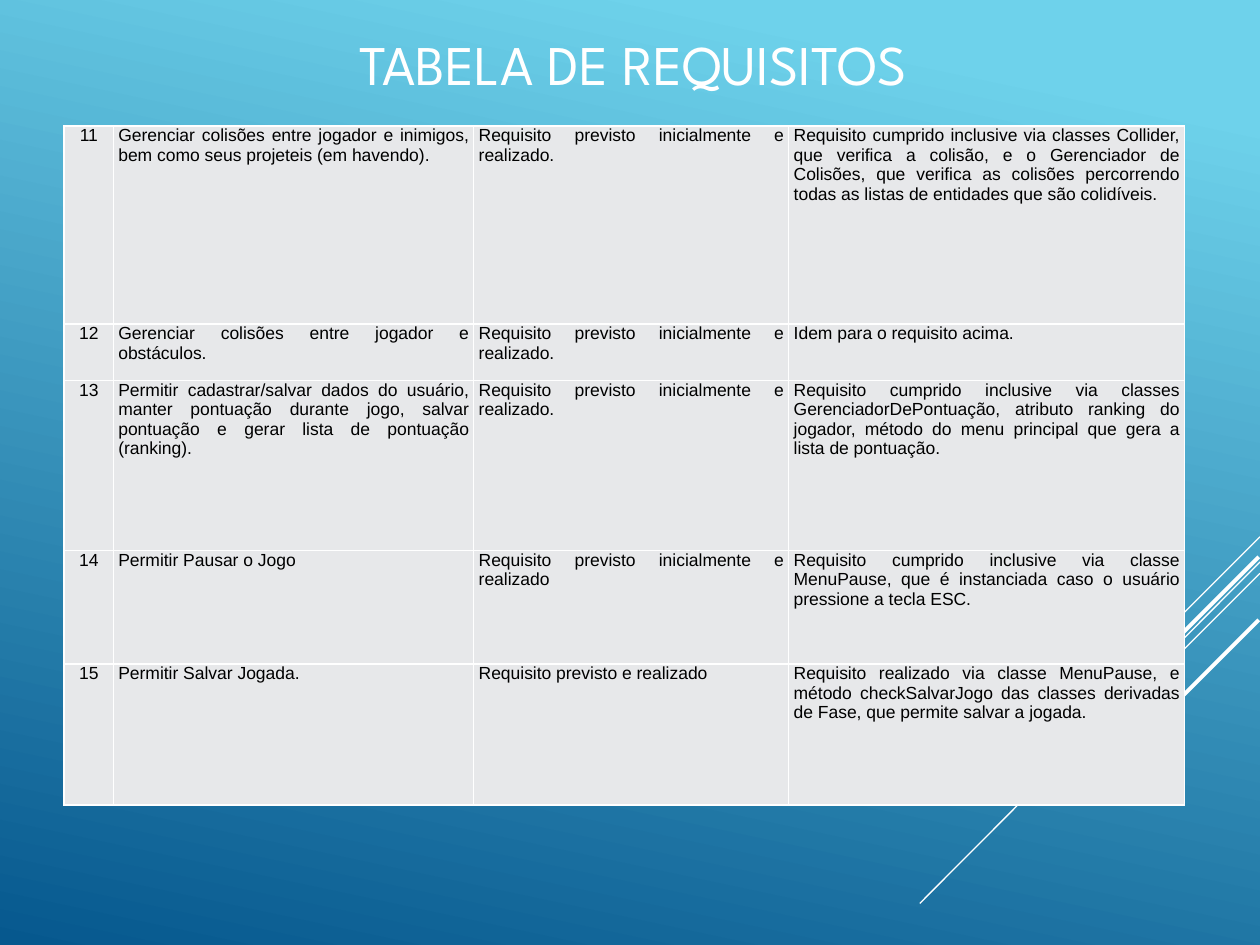
from typing import NamedTuple

from lxml import etree
from pptx import Presentation
from pptx import util as u
from pptx.dml.color import RGBColor
from pptx.enum import shapes, text
from pptx.oxml import ns

WHITE = RGBColor(0xFF, 0xFF, 0xFF)
BLACK = RGBColor(0x00, 0x00, 0x00)
CELL_GRAY = RGBColor(0xE7, 0xE8, 0xEA)
SKY_BLUE = RGBColor(0x6E, 0xD2, 0xEB)
DEEP_BLUE = RGBColor(0x06, 0x58, 0x8E)

COLUMN_WIDTHS = (0.39, 2.86, 2.5, 3.14)
PLANNED = "Requisito previsto inicialmente e realizado"


class Ray(NamedTuple):
    start: tuple[float, float]
    end: tuple[float, float]
    width: float


class Requirement(NamedTuple):
    number: str
    description: str
    status: str
    implementation: str
    height: float


RAYS = [
    Ray((10, 4.26), (9.17, 5.09), 0.75),
    Ray((10, 4.46), (7.3, 7.17), 0.75),
    Ray((10, 4.55), (8.28, 6.27), 0.75),
    Ray((9.99, 4.42), (8.42, 5.99), 2.25),
    Ray((9.99, 4.92), (8.85, 6.06), 2.25),
]

REQUIREMENTS = [
    Requirement(
        "11",
        "Gerenciar colisões entre jogador e inimigos, bem como seus projeteis (em havendo).",
        PLANNED + ".",
        "Requisito cumprido inclusive via classes Collider, que verifica a colisão, e o "
        "Gerenciador de Colisões, que verifica as colisões percorrendo todas as listas de "
        "entidades que são colidíveis.",
        1.57,
    ),
    Requirement(
        "12",
        "Gerenciar colisões entre jogador e obstáculos.",
        PLANNED + ".",
        "Idem para o requisito acima.",
        0.45,
    ),
    Requirement(
        "13",
        "Permitir cadastrar/salvar dados do usuário, manter pontuação durante jogo, salvar "
        "pontuação e gerar lista de pontuação (ranking).",
        PLANNED + ".",
        "Requisito cumprido inclusive via classes GerenciadorDePontuação, atributo ranking do "
        "jogador, método do menu principal que gera a lista de pontuação.",
        1.35,
    ),
    Requirement(
        "14",
        "Permitir Pausar o Jogo",
        PLANNED,
        "Requisito cumprido inclusive via classe MenuPause, que é instanciada caso o usuário "
        "pressione a tecla ESC.",
        0.9,
    ),
    Requirement(
        "15",
        "Permitir Salvar Jogada.",
        "Requisito previsto e realizado",
        "Requisito realizado via classe MenuPause, e método checkSalvarJogo das classes "
        "derivadas de Fase, que permite salvar a jogada.",
        1.12,
    ),
]


def add_run(paragraph, content: str, font_name: str, size: float, color: RGBColor) -> None:
    run = paragraph.add_run()
    run.text = content
    run.font.name = font_name
    run.font.size = u.Pt(size)
    run.font.color.rgb = color


def paint_background(slide) -> None:
    fill = slide.background.fill
    fill.gradient()
    fill.gradient_angle = 360 - 102
    for stop, position, color in zip(fill.gradient_stops, (0.1, 1), (SKY_BLUE, DEEP_BLUE)):
        stop.position = position
        stop.color.rgb = color


def add_ray(slide, ray: Ray) -> None:
    points = [u.Inches(value) for value in ray.start + ray.end]
    connector = slide.shapes.add_connector(shapes.MSO_CONNECTOR.STRAIGHT, *points)
    connector.line.color.rgb = WHITE
    connector.line.width = u.Pt(ray.width)
    etree.SubElement(connector._element.spPr, ns.qn("a:effectLst"))


def set_title(slide) -> None:
    title = slide.shapes.title
    title.left, title.top = u.Inches(2.75), u.Inches(-0.12)
    title.width, title.height = u.Inches(7.17), u.Inches(1.24)
    frame = title.text_frame
    frame.auto_size = text.MSO_AUTO_SIZE.NONE
    frame.vertical_anchor = text.MSO_ANCHOR.MIDDLE
    paragraph = frame.paragraphs[0]
    paragraph.alignment = text.PP_ALIGN.LEFT
    add_run(paragraph, "TABELA DE REQUISITOS", "League Spartan", 32, WHITE)


def set_borders(cell) -> None:
    properties = cell._tc.get_or_add_tcPr()
    for index, side in enumerate(("lnL", "lnR", "lnT", "lnB")):
        border = etree.Element(ns.qn(f"a:{side}"), w=str(u.Pt(1)))
        fill = etree.SubElement(border, ns.qn("a:solidFill"))
        etree.SubElement(fill, ns.qn("a:srgbClr"), val=str(WHITE))
        properties.insert(index, border)


def fill_cell(cell, content: str, alignment: text.PP_ALIGN) -> None:
    cell.margin_left = cell.margin_right = u.Inches(0.04)
    cell.margin_top = cell.margin_bottom = 0
    cell.fill.solid()
    cell.fill.fore_color.rgb = CELL_GRAY
    set_borders(cell)
    paragraph = cell.text_frame.paragraphs[0]
    paragraph.alignment = alignment
    add_run(paragraph, content, "Arial", 10, BLACK)


def add_requirements_table(slide, requirements: list[Requirement]) -> None:
    table = slide.shapes.add_table(
        len(requirements), len(COLUMN_WIDTHS),
        u.Inches(0.51), u.Inches(1),
        u.Inches(sum(COLUMN_WIDTHS)), u.Inches(sum(item.height for item in requirements)),
    ).table
    table.first_row = table.horz_banding = False
    for column, width in zip(table.columns, COLUMN_WIDTHS):
        column.width = u.Inches(width)
    for row, requirement in zip(table.rows, requirements):
        row.height = u.Inches(requirement.height)
        for index, (cell, content) in enumerate(zip(row.cells, requirement[:4])):
            alignment = text.PP_ALIGN.JUSTIFY if index else text.PP_ALIGN.CENTER
            fill_cell(cell, content, alignment)


def main() -> None:
    presentation = Presentation()
    presentation.slide_width = u.Inches(10)
    presentation.slide_height = u.Inches(7.5)
    slide = presentation.slides.add_slide(presentation.slide_layouts[5])
    paint_background(slide)
    for ray in RAYS:
        add_ray(slide, ray)
    set_title(slide)
    add_requirements_table(slide, REQUIREMENTS)
    presentation.save("out.pptx")


if __name__ == "__main__":
    main()
